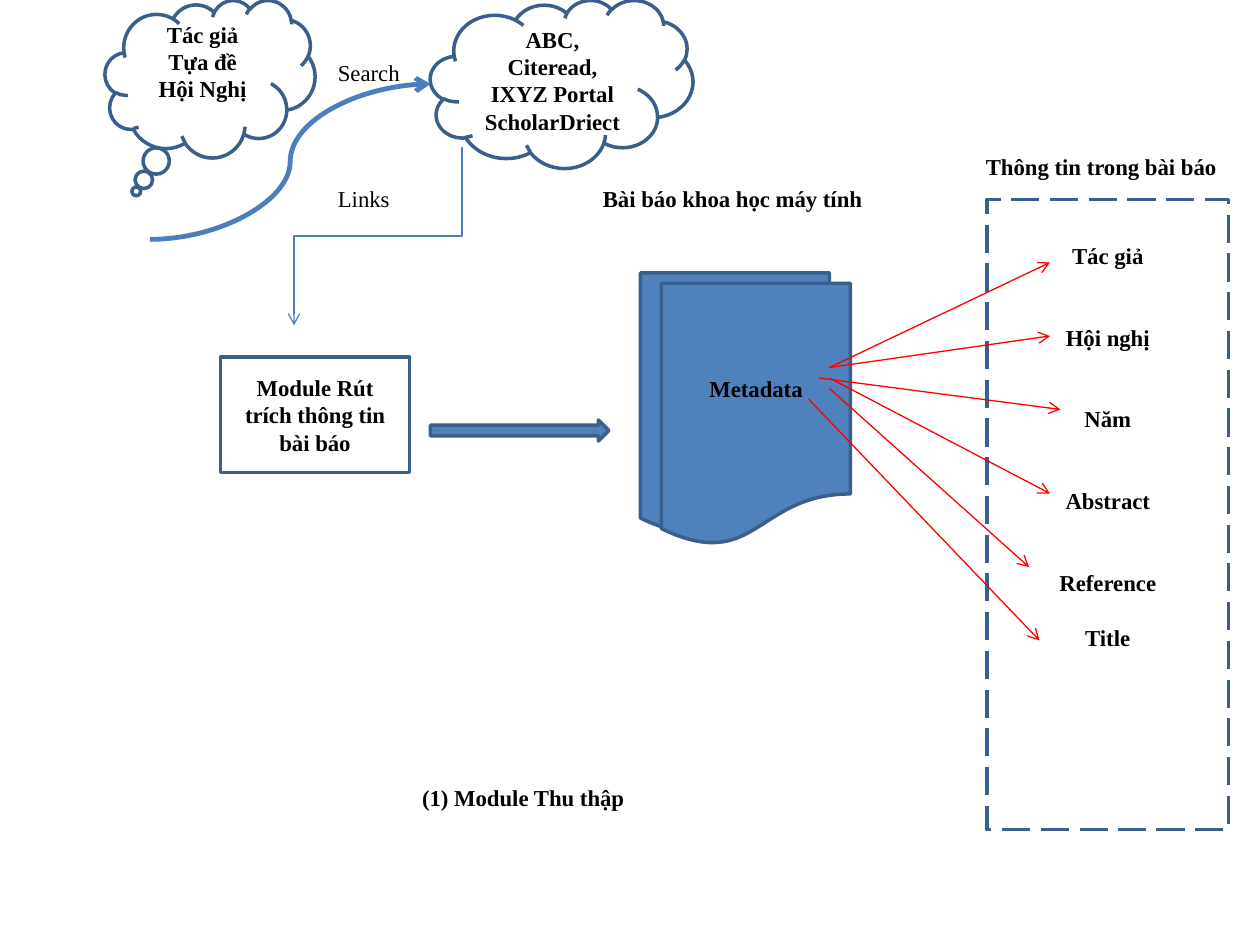
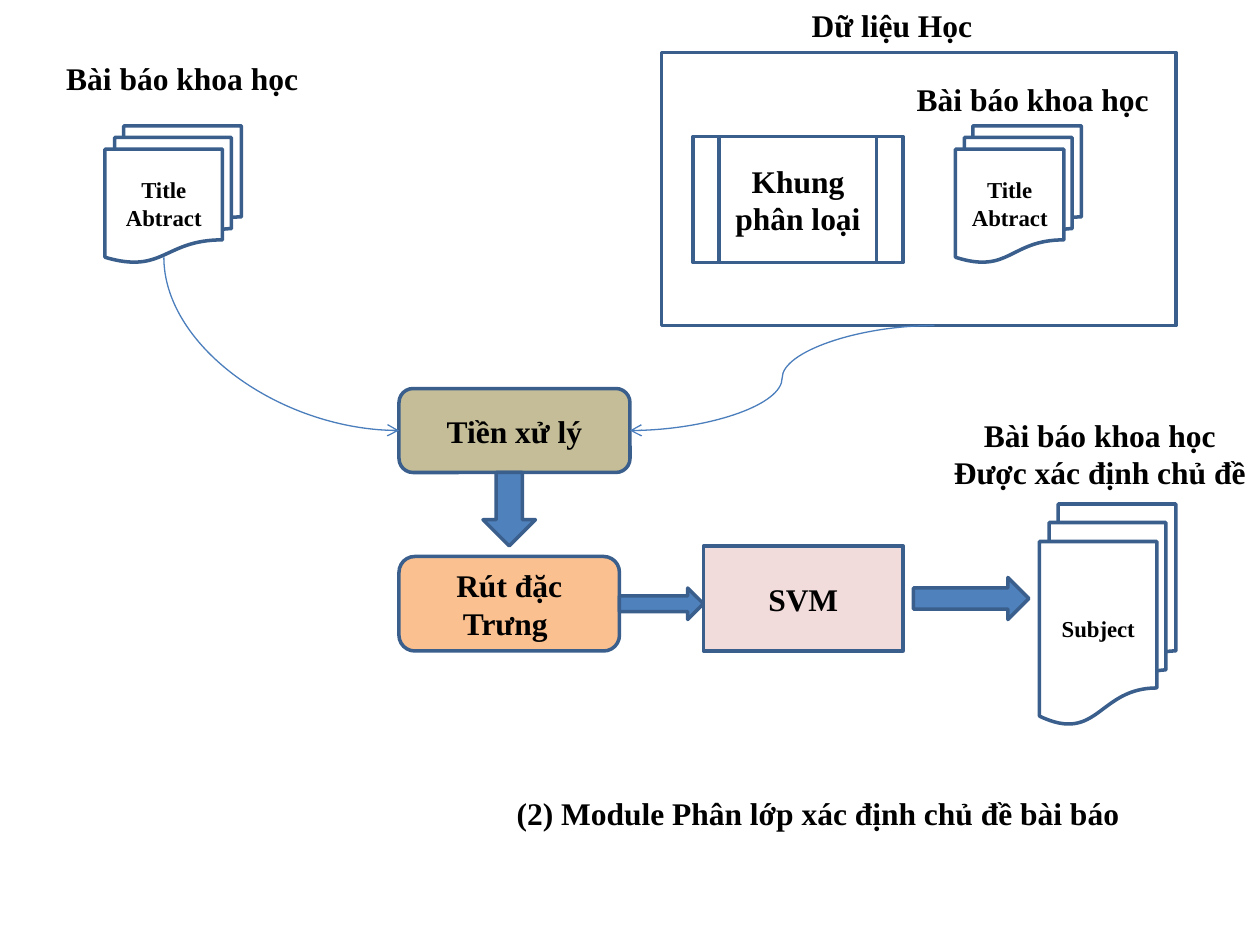
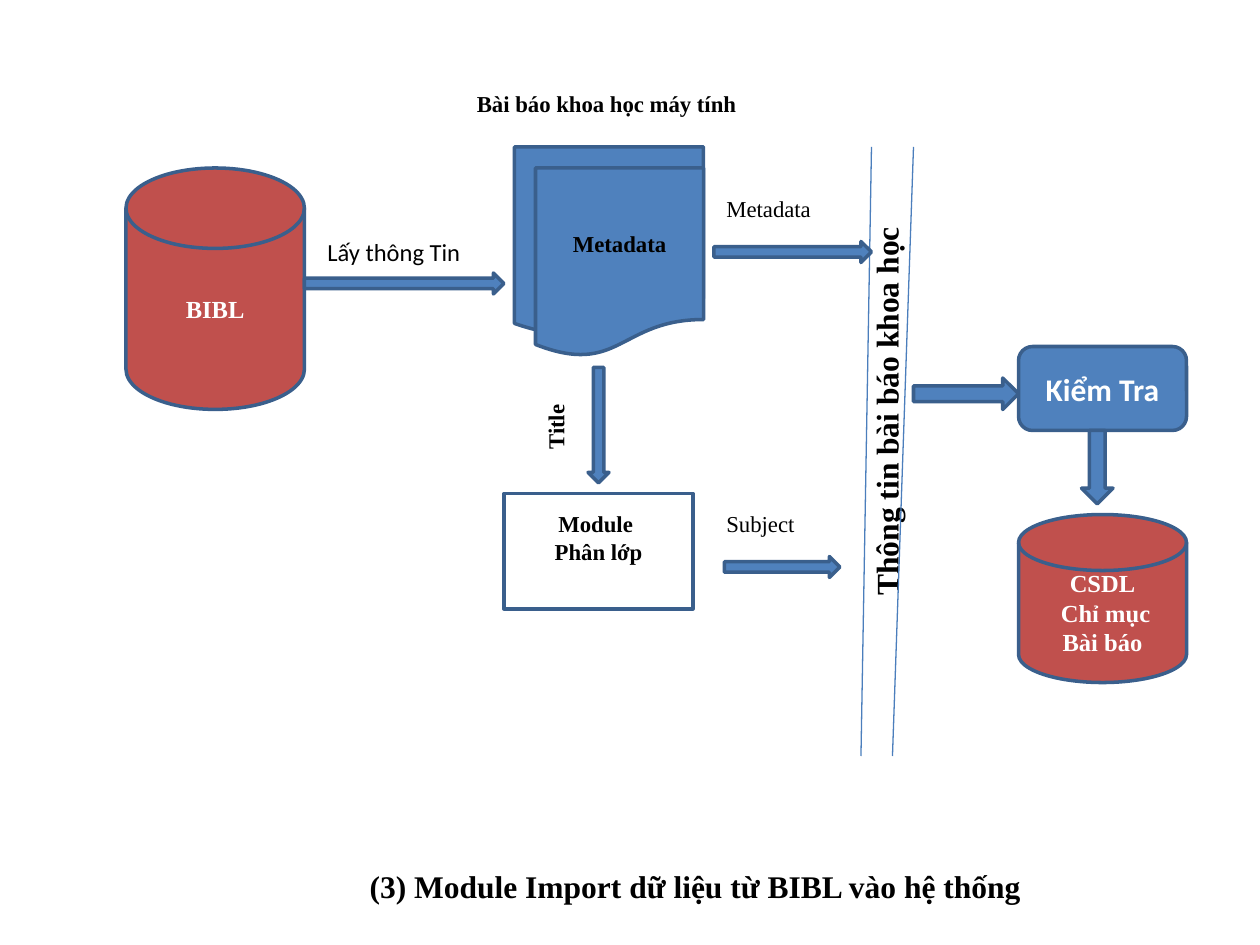
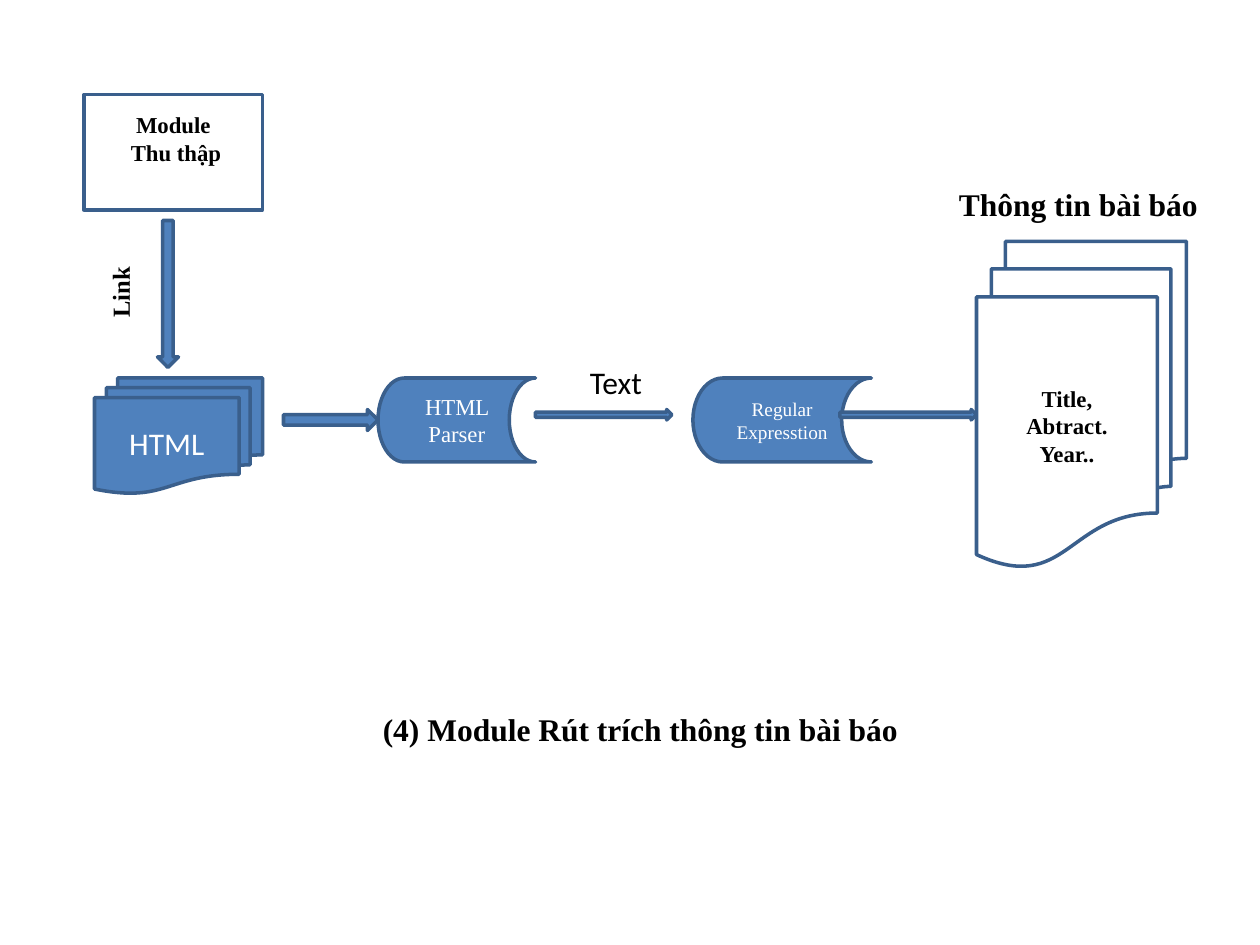
from dataclasses import dataclass

from lxml.etree import SubElement
from pptx import Presentation
from pptx.dml.color import RGBColor
from pptx.enum.dml import MSO_LINE_DASH_STYLE as Dash
from pptx.enum.shapes import MSO_CONNECTOR as Link, MSO_SHAPE as Preset
from pptx.enum.text import MSO_ANCHOR as Anchor, MSO_AUTO_SIZE as AutoSize, PP_ALIGN as Align
from pptx.oxml.ns import qn
from pptx.util import Inches, Pt

COLUMNS, ROWS = 120, 90
CELL = Inches(10) / COLUMNS
SERIF, SANS = "Times New Roman", "Calibri"
BLACK, WHITE = "000000", "FFFFFF"
BLUE, OUTLINE, CONNECTOR = "4F81BD", "3A5F8C", "4B7EBC"
BRICK, OLIVE, PEACH, ROSE, RED = "C0504D", "C4BD97", "FAC090", "F2DCDB", "FF0000"
SMALL, MEDIUM, LARGE = 13, 14, 18
LINE_GAP = 15.6


@dataclass
class Box:
    left: float
    top: float
    width: float
    height: float

    def inside(self, left, top, width, height):
        return Box(self.left + left, self.top + top, width, height)

    def point(self, x, y):
        return self.left + x, self.top + y

    def lengths(self):
        return [cells(n) for n in (self.left, self.top, self.width, self.height)]


def cells(count):
    return round(count * CELL)


def color(value):
    return RGBColor.from_string(value)


def write_text(shape, text, size=SMALL, font=SERIF, ink=BLACK, bold=True,
               align=Align.CENTER, anchor=Anchor.MIDDLE, wrap=True, gaps=(), lift=0):
    frame = shape.text_frame
    frame.word_wrap = wrap
    frame.vertical_anchor = anchor
    frame.margin_bottom = Inches(0.05) + Pt(lift)
    frame.text = text
    for paragraph in frame.paragraphs:
        paragraph.alignment = align
        paragraph.font.size = Pt(size)
        for run in paragraph.runs:
            run.font.size = Pt(size)
            run.font.name = font
            run.font.bold = bold
            run.font.color.rgb = color(ink)
    for paragraph, gap in zip(frame.paragraphs, gaps):
        paragraph.space_before = Pt(gap)


def add_block(slide, preset, box, text="", fill=None, rotation=0, **text_format):
    shape = slide.shapes.add_shape(preset, *box.lengths())
    shape.shadow.inherit = False
    shape.rotation = rotation
    if fill:
        shape.fill.solid()
        shape.fill.fore_color.rgb = color(fill)
    else:
        shape.fill.background()
    shape.line.color.rgb = color(OUTLINE)
    shape.line.width = Pt(2)
    if text:
        write_text(shape, text, **text_format)
    return shape


def add_arrow(slide, box, preset=Preset.RIGHT_ARROW, rotation=0):
    add_block(slide, preset, box, fill=BLUE, rotation=rotation)


def add_label(slide, place, width, text, size=SMALL, rotation=0, wrap=False, **text_format):
    lines = text.count("\n") + 1
    height = (1.2 * size * lines + 7.2) / 6
    shape = slide.shapes.add_textbox(*Box(*place, width, height).lengths())
    shape.rotation = rotation
    write_text(shape, text, size=size, wrap=wrap, anchor=Anchor.TOP, **text_format)
    shape.text_frame.auto_size = AutoSize.SHAPE_TO_FIT_TEXT


def add_link(slide, start, end, kind=Link.STRAIGHT, quarter_turns=0, preset=None,
             ink=CONNECTOR, width=0.75, arrow=True):
    first, last = complex(*start), complex(*end)
    center = (first + last) / 2
    first, last = (center + (spot - center) * (-1j) ** quarter_turns for spot in (first, last))
    connector = slide.shapes.add_connector(
        kind, *(cells(n) for n in (first.real, first.imag, last.real, last.imag)))
    connector.line.color.rgb = color(ink)
    connector.line.width = Pt(width)
    properties = connector._element.spPr
    if quarter_turns:
        properties.find(qn("a:xfrm")).set("rot", str(quarter_turns * 5400000))
    if preset:
        properties.find(qn("a:prstGeom")).set("prst", preset)
    if arrow:
        SubElement(properties.find(qn("a:ln")), qn("a:tailEnd"), type="arrow")
    SubElement(properties, qn("a:effectLst"))


def start_slide(presentation, caption, box, size=LARGE, wrap=False, align=Align.LEFT):
    slide = presentation.slides.add_slide(presentation.slide_layouts[5])
    title = slide.shapes.title
    title.left, title.top, title.width, title.height = box.lengths()
    write_text(title, caption, size=size, wrap=wrap, align=align, anchor=Anchor.TOP)
    title.text_frame.auto_size = AutoSize.NONE
    return slide


def module_box(slide, box, text, lift=0):
    add_block(slide, Preset.RECTANGLE, box, text, lift=lift)


def paper_pair(slide, back, front, label_place):
    add_block(slide, Preset.FLOWCHART_DOCUMENT, back, fill=BLUE)
    add_label(slide, label_place, 27.5, "Bài báo khoa học máy tính")
    add_block(slide, Preset.FLOWCHART_DOCUMENT, front, "Metadata", fill=BLUE)


def paper_stack(slide, box, text, heading, heading_place, heading_width, size=SMALL):
    add_block(slide, Preset.FLOWCHART_MULTIDOCUMENT, box, text, size=size)
    add_label(slide, heading_place, heading_width, heading, size=LARGE)


def search_region(slide, box):
    query = add_block(slide, Preset.CLOUD_CALLOUT, box.inside(0, 0, 20, 15),
                      "Tác giả\nTựa đề\nHội Nghị", lift=LINE_GAP)
    query.adjustments[0], query.adjustments[1] = -0.351, 0.715
    add_block(slide, Preset.CLOUD, box.inside(31, 0, 25, 16),
              "ABC, Citeread, IXYZ Portal\nScholarDriect")
    add_link(slide, box.point(34, 14), box.point(18, 31), Link.ELBOW, quarter_turns=1)
    add_link(slide, box.point(4.28, 22.8), box.point(31, 8), Link.CURVE, width=2.75)
    for top, width, text in ((17, 7.4, "Links"), (5, 8.4, "Search")):
        add_label(slide, box.point(21, top), width, text, bold=False, align=Align.LEFT)


def fields_panel(slide, box):
    fields = ("Tác giả", "Hội nghị", "Năm", "Abstract", "Reference", "Title")
    gaps = [0] + [2 * LINE_GAP] * 4 + [LINE_GAP]
    panel = add_block(slide, Preset.RECTANGLE, box, "\n".join(fields),
                      gaps=gaps, lift=5 * LINE_GAP)
    panel.line.dash_style = Dash.LONG_DASH
    add_label(slide, box.point(-1.5, -5), 24.72, "Thông tin trong bài báo")
    starts = ((-15, 16), (-15, 16), (-16, 17), (-15, 17), (-15, 18), (-17, 19))
    ends = ((6, 6), (6, 13), (7, 20), (6, 28), (4, 35), (5, 42))
    for start, end in zip(starts, ends):
        add_link(slide, box.point(*start), box.point(*end), ink=RED)


def collection_slide(presentation):
    slide = start_slide(presentation, "(1) Module Thu thập", Box(39, 74, 29, 3.84),
                        size=SMALL, wrap=True)
    search_region(slide, Box(10, 0, 56, 31))
    paper_pair(slide, Box(61, 26, 18, 25), Box(63, 27, 18, 25), (56, 17))
    add_arrow(slide, Box(41, 40, 17, 2))
    fields_panel(slide, Box(94, 19, 23, 60))
    module_box(slide, Box(21, 34, 18, 11), "Module Rút trích thông tin bài báo")


def learning_data(slide, box):
    paper_stack(slide, box.inside(28, 7, 12, 13), "Title\nAbtract",
                "Bài báo khoa học", box.point(23, 2), 24.72)
    add_block(slide, Preset.FLOWCHART_PREDEFINED_PROCESS, box.inside(3, 8, 20, 12),
              "Khung phân loại", size=LARGE)
    add_block(slide, Preset.RECTANGLE, box)
    add_label(slide, box.point(13, -5), 17.9, "Dữ liệu Học", size=LARGE)


def classifier_flow(slide, box):
    steps = ((Preset.FLOWCHART_ALTERNATE_PROCESS, (0, 0, 22, 8), "Tiền xử lý", OLIVE),
             (Preset.FLOWCHART_ALTERNATE_PROCESS, (0, 16, 21, 9), "Rút đặc Trưng ", PEACH),
             (Preset.RECTANGLE, (29, 15, 19, 10), "SVM", ROSE))
    for preset, place, text, fill in steps:
        add_block(slide, preset, box.inside(*place), text, fill=fill, size=LARGE)
    add_arrow(slide, box.inside(8, 8, 5, 7), Preset.DOWN_ARROW)
    add_arrow(slide, box.inside(21, 19, 8, 3))
    add_arrow(slide, box.inside(49, 18, 11, 4))


def classification_slide(presentation):
    slide = start_slide(presentation, "(2) Module Phân lớp xác định chủ đề bài báo ",
                        Box(48, 75, 61.2, 4.8))
    paper_stack(slide, Box(10, 12, 13, 13), "Title\nAbtract", "Bài báo khoa học", (5, 5), 24.72)
    learning_data(slide, Box(63, 5, 49, 26))
    classifier_flow(slide, Box(38, 37, 60, 25))
    add_link(slide, (15.6, 24.5), (38, 41), Link.CURVE, quarter_turns=3,
             preset="curvedConnector2")
    add_link(slide, (89, 31), (60, 41), Link.CURVE)
    paper_stack(slide, Box(99, 48, 13, 21), "Subject",
                "Bài báo khoa học\nĐược xác định chủ đề", (89.5, 39), 30.5)


def source_region(slide, box):
    add_block(slide, Preset.FLOWCHART_MAGNETIC_DISK, box.inside(0, 0, 17, 23), "BIBL",
              fill=BRICK, ink=WHITE, size=MEDIUM)
    add_arrow(slide, box.inside(17, 10, 19, 2))
    add_label(slide, box.point(18, 6), 23, "Lấy thông Tin", size=MEDIUM, font=SANS,
              bold=False, wrap=True, align=Align.LEFT)


def paper_info_bar(slide, box):
    add_label(slide, box.point(-17.6, 21.5), 40, "Thông tin bài báo khoa học", size=LARGE,
              rotation=270, wrap=True, align=Align.LEFT)
    for top, bottom in ((1, 0), (5, 3)):
        add_link(slide, box.point(top, 0), box.point(bottom, box.height), arrow=False)


def index_region(slide, box):
    add_arrow(slide, box.inside(0, 3, 10, 3))
    add_block(slide, Preset.FLOWCHART_ALTERNATE_PROCESS, box.inside(10, 0, 16, 8), "Kiểm Tra",
              fill=BLUE, ink=WHITE, size=LARGE, font=SANS)
    add_arrow(slide, box.inside(14, 10, 7, 3), rotation=90)
    add_block(slide, Preset.FLOWCHART_MAGNETIC_DISK, box.inside(10, 16, 16, 16),
              "CSDL\n Chỉ mục\nBài báo", fill=BRICK, ink=WHITE, size=MEDIUM)


def import_slide(presentation):
    slide = start_slide(presentation, "(3) Module Import dữ liệu từ BIBL vào hệ thống",
                        Box(34, 82, 65.9, 4.8))
    paper_pair(slide, Box(49, 14, 18, 18), Box(51, 16, 16, 18), (44, 8))
    source_region(slide, Box(12, 16, 36, 23))
    paper_info_bar(slide, Box(82, 14, 5, 58))
    index_region(slide, Box(87, 33, 26, 32))
    add_arrow(slide, Box(68, 23, 15, 2))
    add_arrow(slide, Box(69, 53, 11, 2))
    add_arrow(slide, Box(51.5, 39.5, 11, 2), rotation=90)
    module_box(slide, Box(48, 47, 18, 11), "Module \nPhân lớp", lift=LINE_GAP)
    for top, text in ((18, "Metadata"), (48, "Subject")):
        add_label(slide, (68, top), 21, text, bold=False, wrap=True, align=Align.LEFT)
    add_label(slide, (42.4, 31.6), 21, "Title", rotation=270, wrap=True, align=Align.LEFT)


def page_source(slide, box):
    module_box(slide, box.inside(0, 0, 17, 11), "Module\n Thu thập", lift=LINE_GAP)
    add_arrow(slide, box.inside(7, 12, 2, 14), Preset.DOWN_ARROW)
    add_label(slide, box.point(-0.2, 16.8), 7.3, "Link", size=MEDIUM, rotation=270,
              align=Align.LEFT)
    add_block(slide, Preset.FLOWCHART_MULTIDOCUMENT, box.inside(1, 27, 16, 11), "HTML",
              fill=BLUE, ink=WHITE, size=LARGE, font=SANS, bold=False)


def parsing_flow(slide, box):
    for left, width, text, size in ((9, 15, "HTML Parser", SMALL),
                                    (39, 17, "Regular Expresstion", 11)):
        add_block(slide, Preset.FLOWCHART_STORED_DATA, box.inside(left, 0, width, 8), text,
                  fill=BLUE, ink=WHITE, size=size, bold=False)
    for left, width, height in ((0, 9, 2), (24, 13, 1), (53, 13, 1)):
        add_arrow(slide, box.inside(left, 3, width, height))
    add_label(slide, box.point(28, -2), 7.4, "Text", size=LARGE, font=SANS, bold=False,
              align=Align.LEFT)


def extraction_slide(presentation):
    slide = start_slide(presentation, "(4) Module Rút trích thông tin bài báo",
                        Box(35, 67, 52, 4.8), align=Align.CENTER)
    paper_stack(slide, Box(93, 23, 20, 31), "Title,\nAbtract.\nYear..",
                "Thông tin bài báo", (90, 17), 25.4)
    page_source(slide, Box(8, 9, 17, 38))
    parsing_flow(slide, Box(27, 36, 66, 8))


presentation = Presentation()
presentation.slide_width, presentation.slide_height = cells(COLUMNS), cells(ROWS)
for build_slide in (collection_slide, classification_slide, import_slide, extraction_slide):
    build_slide(presentation)
presentation.save("out.pptx")
